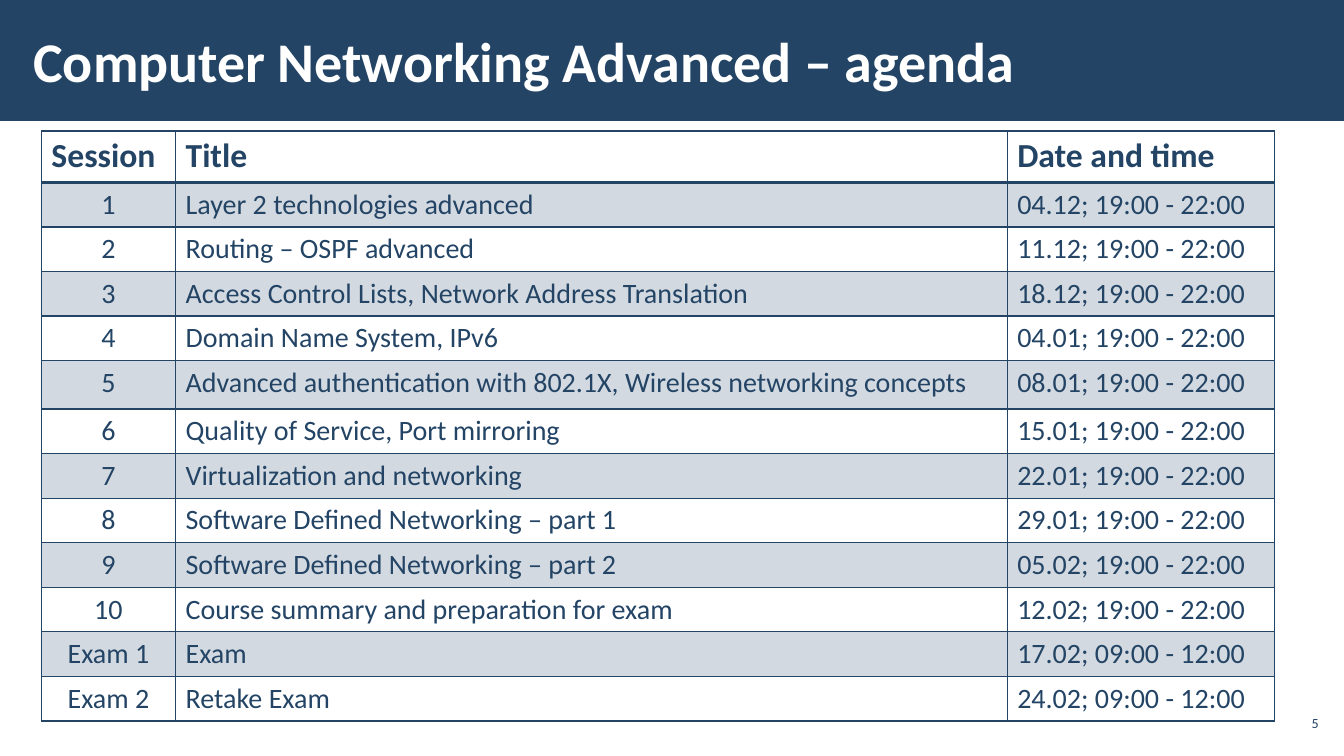
from pptx import Presentation
from pptx.dml.color import RGBColor
from pptx.enum.shapes import MSO_SHAPE
from pptx.enum.text import MSO_ANCHOR, PP_ALIGN
from pptx.oxml import parse_xml
from pptx.oxml.ns import nsdecls
from pptx.util import Inches, Pt

NAVY = RGBColor(0x23, 0x44, 0x65)
WHITE = RGBColor(0xFF, 0xFF, 0xFF)
FONT = "Calibri"
WIDE, HIGH = Inches(13.33), Inches(7.5)
COLS = [9.98, 61.88, 19.87]
HEAD_ROW, BASE_ROW, TALL_ROW = 6.8, 5.9, 6.4
TALL = 5
TINT = 20

AGENDA = [
    ("Session", "Title", "Date and time"),
    ("1", "Layer 2 technologies advanced", "04.12; 19:00 - 22:00"),
    ("2", "Routing – OSPF advanced", "11.12; 19:00 - 22:00"),
    ("3", "Access Control Lists, Network Address Translation", "18.12; 19:00 - 22:00"),
    ("4", "Domain Name System, IPv6", "04.01; 19:00 - 22:00"),
    ("5", "Advanced authentication with 802.1X, Wireless networking concepts",
     "08.01; 19:00 - 22:00"),
    ("6", "Quality of Service, Port mirroring", "15.01; 19:00 - 22:00"),
    ("7", "Virtualization and networking", "22.01; 19:00 - 22:00"),
    ("8", "Software Defined Networking – part 1", "29.01; 19:00 - 22:00"),
    ("9", "Software Defined Networking – part 2", "05.02; 19:00 - 22:00"),
    ("10", "Course summary and preparation for exam", "12.02; 19:00 - 22:00"),
    ("Exam 1", "Exam", "17.02; 09:00 - 12:00"),
    ("Exam 2", "Retake Exam", "24.02; 09:00 - 12:00"),
]


def across(share):
    return round(WIDE * share / 100)


def down(share):
    return round(HIGH * share / 100)


def place(left, top, width, height):
    return across(left), down(top), across(width), down(height)


def write(frame, text, size, color, bold=False, align=PP_ALIGN.LEFT):
    para = frame.paragraphs[0]
    para.alignment = align
    run = para.add_run()
    run.text = text
    font = run.font
    font.name, font.size, font.bold = FONT, Pt(size), bold
    font.color.rgb = color


def add_band(slide, area):
    band = slide.shapes.add_shape(MSO_SHAPE.RECTANGLE, *area)
    band.shadow.inherit = False
    band.fill.solid()
    band.fill.fore_color.rgb = NAVY
    band.line.fill.background()


def add_label(slide, area, side, text, size, color, **style):
    frame = slide.shapes.add_textbox(*area).text_frame
    frame.word_wrap = True
    frame.vertical_anchor = MSO_ANCHOR.MIDDLE
    frame.margin_left = frame.margin_right = Inches(side)
    frame.margin_top = frame.margin_bottom = Inches(0.04)
    write(frame, text, size, color, **style)


def add_edges(cell, row):
    weights = {"L": 1, "R": 1, "T": 2 if row == 1 else 1, "B": 2 if row == 0 else 1}
    props = cell._tc.get_or_add_tcPr()
    for side, weight in weights.items():
        props.append(parse_xml(
            f'<a:ln{side} {nsdecls("a")} w="{Pt(weight)}"><a:solidFill>'
            f'<a:srgbClr val="{NAVY}"/></a:solidFill></a:ln{side}>'))


def paint(cell, row):
    if row % 2 == 0:
        cell.fill.background()
        return
    cell.fill.solid()
    cell.fill.fore_color.rgb = NAVY
    color = cell._tc.tcPr.find(".//{*}solidFill[last()]/{*}srgbClr")
    fill = cell._tc.tcPr.findall("{*}solidFill")[0]
    color = fill[0]
    color.append(parse_xml(f'<a:alpha {nsdecls("a")} val="{TINT * 1000}"/>'))


def add_agenda(slide, left, top):
    rows = [BASE_ROW] * len(AGENDA)
    rows[0], rows[TALL] = HEAD_ROW, TALL_ROW
    area = place(left, top, sum(COLS), sum(rows))
    table = slide.shapes.add_table(len(rows), len(COLS), *area).table
    table.first_row = table.horz_banding = False
    for column, width in zip(table.columns, COLS):
        column.width = across(width)
    for row, height in enumerate(rows):
        table.rows[row].height = down(height)
        for col, text in enumerate(AGENDA[row]):
            cell = table.cell(row, col)
            head = row == 0
            center = col == 0 and not head
            write(cell.text_frame, text, 24 if head else 20, NAVY, head,
                  PP_ALIGN.CENTER if center else PP_ALIGN.LEFT)
            add_edges(cell, row)
            paint(cell, row)


def main():
    deck = Presentation()
    deck.slide_width, deck.slide_height = WIDE, HIGH
    slide = deck.slides.add_slide(deck.slide_layouts[6])
    add_band(slide, place(0, 0, 100, 16))
    add_label(slide, place(1.58, 1.47, 77.93, 12.93), 0.12,
              "Computer Networking Advanced – agenda", 40, WHITE, bold=True)
    add_label(slide, place(94.88, 93.33, 3.53, 4.53), 0.04,
              "5", 10, NAVY, align=PP_ALIGN.RIGHT)
    add_agenda(slide, 3.08, 17.33)
    deck.save("out.pptx")


if __name__ == "__main__":
    main()
